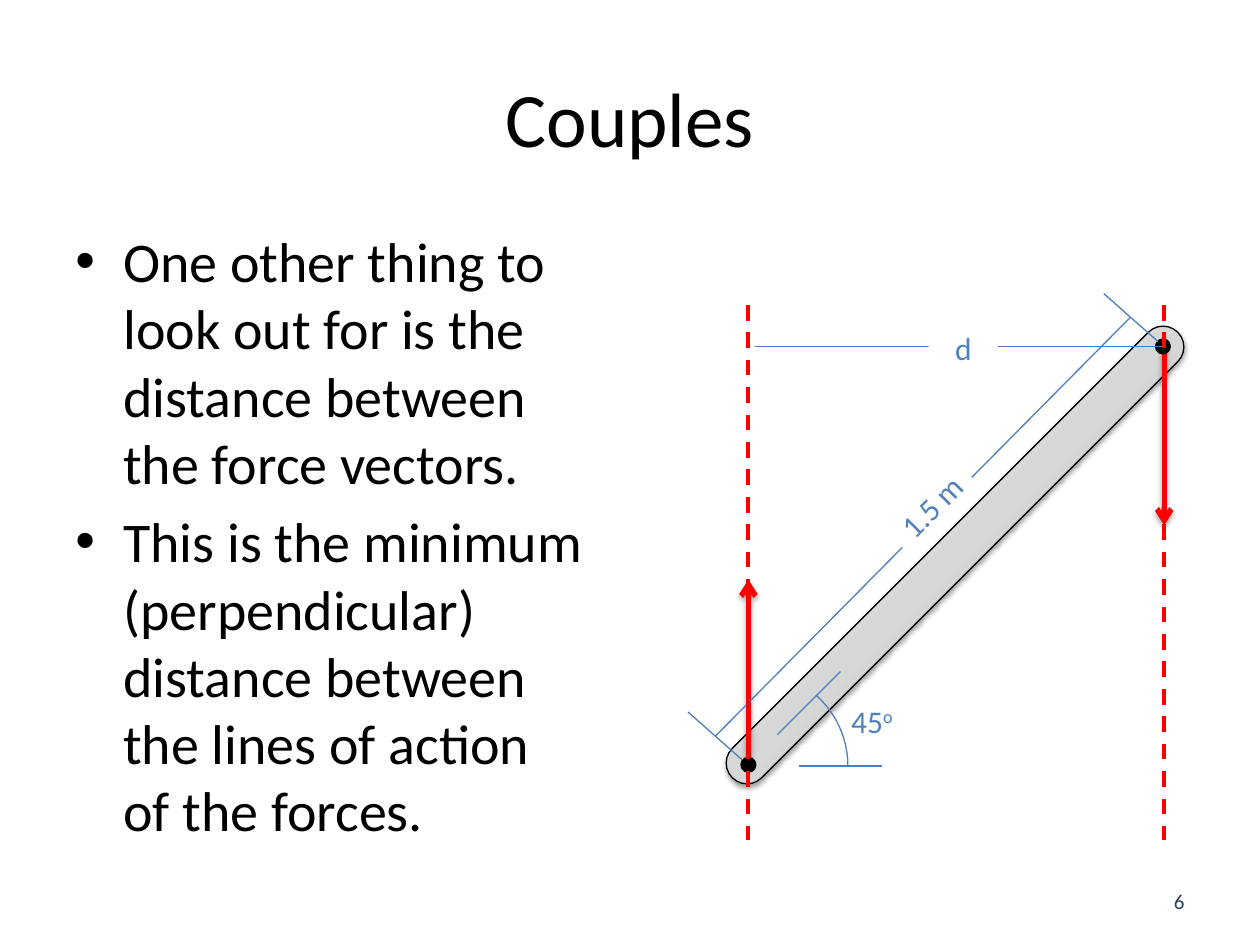
"""Build the Couples slide: two bullets beside a bar loaded by two opposite forces."""
from copy import deepcopy

from lxml import etree
from pptx import Presentation
from pptx.dml.color import RGBColor
from pptx.enum.dml import MSO_LINE
from pptx.enum.shapes import MSO_CONNECTOR, MSO_SHAPE
from pptx.enum.text import MSO_ANCHOR, PP_ALIGN
from pptx.oxml.ns import qn
from pptx.util import Inches, Pt

STRAIGHT, DASH = MSO_CONNECTOR.STRAIGHT, MSO_LINE.DASH
BAR, DOT, ARC, RECT = (MSO_SHAPE.ROUNDED_RECTANGLE, MSO_SHAPE.OVAL,
                       MSO_SHAPE.ARC, MSO_SHAPE.RECTANGLE)
TOP, MIDDLE = MSO_ANCHOR.TOP, MSO_ANCHOR.MIDDLE
LEFT, CENTER, RIGHT = PP_ALIGN.LEFT, PP_ALIGN.CENTER, PP_ALIGN.RIGHT

BLACK = RGBColor(0x00, 0x00, 0x00)
WHITE = RGBColor(0xFF, 0xFF, 0xFF)
RED = RGBColor(0xFF, 0x00, 0x00)
NAVY = RGBColor(0x25, 0x40, 0x61)
BLUE = RGBColor(0x4F, 0x81, 0xBD)
DIMENSION_BLUE = RGBColor(0x4B, 0x7E, 0xBC)
BAR_STOPS = [(0, RGBColor(0xBD, 0xBD, 0xBD)), (0.35, RGBColor(0xD1, 0xD1, 0xD1)),
             (1, RGBColor(0xEE, 0xEE, 0xEE))]

BULLETS = [
    "One other thing to look out for is the distance between the force vectors.",
    "This is the minimum (perpendicular) distance between the lines of action of the forces.",
]
LEFT_X, RIGHT_X = 5.94, 9.24
LOWER_PIN, UPPER_PIN = (LEFT_X, 6.07), (RIGHT_X - 0.01, 2.75)
LOWER_FORCE = ((LEFT_X, 6.02), (LEFT_X, 4.6))
UPPER_FORCE = ((RIGHT_X, 2.75), (RIGHT_X, 4.17))
LENGTH_LINES = [((5.89, 6.03), (5.46, 5.65)), ((5.68, 5.84), (8.97, 2.52))]
UPPER_TICK = ((9.19, 2.71), (8.76, 2.33))
ANGLE_BASE = ((7, 6.08), (6.34, 6.08))
ANGLE_SIDE = ((6.67, 5.33), (6.17, 5.83))
DISTANCE_LINE = ((9.22, 2.75), (5.99, 2.75))

LABEL = {"size": 18, "color": BLUE, "align": CENTER}


def add_shadow(drawn, opacity, distance):
    properties = drawn._element.spPr
    effects = properties.find(qn("a:effectLst"))
    if effects is None:
        effects = etree.SubElement(properties, qn("a:effectLst"))
    if opacity:
        shadow = etree.SubElement(effects, qn("a:outerShdw"), blurRad=str(Pt(3.1)),
                                  dist=str(Pt(distance)), dir="5400000", rotWithShape="0")
        color = etree.SubElement(shadow, qn("a:srgbClr"), val="000000")
        etree.SubElement(color, qn("a:alpha"), val=str(opacity * 1000))


def add_line(slide, ends, color=DIMENSION_BLUE, width=0.75, dash=None, force=False):
    (x1, y1), (x2, y2) = ends
    connector = slide.shapes.add_connector(
        STRAIGHT, Inches(x1), Inches(y1), Inches(x2), Inches(y2))
    line = connector.line
    line.color.rgb = color
    line.width = Pt(width)
    if dash:
        line.dash_style = dash
    if force:
        etree.SubElement(line._get_or_add_ln(), qn("a:tailEnd"), type="arrow")
    add_shadow(connector, 35 if force else 0, 1.8)


def add_shape(slide, kind, box, fill=None, line=None, width=0.75, rotation=0):
    shape = slide.shapes.add_shape(kind, *map(Inches, box))
    shape.shadow.inherit = False
    shape.rotation = rotation
    if fill is None:
        shape.fill.background()
    else:
        shape.fill.solid()
        shape.fill.fore_color.rgb = fill
    if line is None:
        shape.line.fill.background()
    else:
        shape.line.color.rgb = line
        shape.line.width = Pt(width)
    return shape


def add_bar(slide):
    bar = add_shape(slide, BAR, (5.08, 4.24, 5, 0.33), WHITE, BLACK, rotation=315)
    bar.adjustments[0] = 0.5
    bar.fill.gradient()
    bar.fill.gradient_angle = 90
    stops = bar._element.spPr.find(".//" + qn("a:gsLst"))
    stops.append(deepcopy(stops[-1]))
    for stop, (position, color) in zip(bar.fill.gradient_stops, BAR_STOPS):
        stop.position = position
        stop.color.rgb = color
    add_shadow(bar, 38, 1.6)


def add_pin(slide, center):
    x, y = center
    add_shape(slide, DOT, (x - 0.05, y - 0.05, 0.1, 0.1), BLACK, BLACK, 2)


def write(shape, paragraphs, size, color, align, anchor=TOP, bullets=False):
    frame = shape.text_frame
    frame.word_wrap = True
    frame.vertical_anchor = anchor
    for index, text in enumerate(paragraphs):
        paragraph = frame.add_paragraph() if index else frame.paragraphs[0]
        paragraph.alignment = align
        if bullets:
            properties = paragraph._p.get_or_add_pPr()
            properties.set("marL", str(Inches(0.38)))
            properties.set("indent", str(Inches(-0.38)))
            etree.SubElement(properties, qn("a:buFont"), typeface="Arial")
            etree.SubElement(properties, qn("a:buChar"), char="•")
            if index:
                paragraph.space_before = Pt(size * 0.2)
        run = paragraph.add_run()
        run.text = text
        style(run, size, color)


def style(run, size, color):
    for name, value in {"name": "Calibri", "size": Pt(size)}.items():
        setattr(run.font, name, value)
    run.font.color.rgb = color


def add_text(slide, box, paragraphs, **format_values):
    text_box = slide.shapes.add_textbox(*map(Inches, box))
    write(text_box, paragraphs, **format_values)
    return text_box


def add_angle(slide):
    add_line(slide, ANGLE_BASE)
    arc = add_shape(slide, ARC, (5.23, 5.33, 1.5, 1.5), line=DIMENSION_BLUE)
    arc.adjustments[0], arc.adjustments[1] = 186.79, 0
    add_line(slide, ANGLE_SIDE)
    angle = add_text(slide, (6.53, 5.52, 0.78, 0.4), ["45"], **LABEL)
    degree = angle.text_frame.paragraphs[0].add_run()
    degree.text = "o"
    style(degree, LABEL["size"], LABEL["color"])
    degree.font._element.set("baseline", "30000")


def main():
    deck = Presentation()
    deck.slide_width, deck.slide_height = Inches(10), Inches(7.5)
    slide = deck.slides.add_slide(deck.slide_layouts[6])

    add_text(slide, (0.5, 0.3, 9, 1.25), ["Couples"],
             size=44, color=BLACK, align=CENTER, anchor=MIDDLE)
    add_text(slide, (0.5, 1.75, 4.25, 5.25), BULLETS,
             size=32, color=BLACK, align=LEFT, bullets=True)
    add_text(slide, (7.17, 6.95, 2.33, 0.4), ["6"],
             size=12, color=NAVY, align=RIGHT, anchor=MIDDLE)

    add_bar(slide)
    add_line(slide, UPPER_FORCE, RED, 3, force=True)
    for pin in (UPPER_PIN, LOWER_PIN):
        add_pin(slide, pin)
    add_line(slide, LOWER_FORCE, RED, 3, force=True)

    for ends in LENGTH_LINES:
        add_line(slide, ends)
    length = add_shape(slide, RECT, (7, 3.82, 0.78, 0.4), WHITE, rotation=314.6)
    write(length, ["1.5 m"], **LABEL)
    add_line(slide, UPPER_TICK)

    for x in (LEFT_X, RIGHT_X):
        add_line(slide, ((x, 2.42), (x, 6.67)), RED, 2.25, DASH)
    add_angle(slide)

    add_line(slide, DISTANCE_LINE)
    distance = add_shape(slide, RECT, (7.37, 2.56, 0.55, 0.4), WHITE)
    write(distance, ["d"], **LABEL)
    deck.save("out.pptx")


if __name__ == "__main__":
    main()
